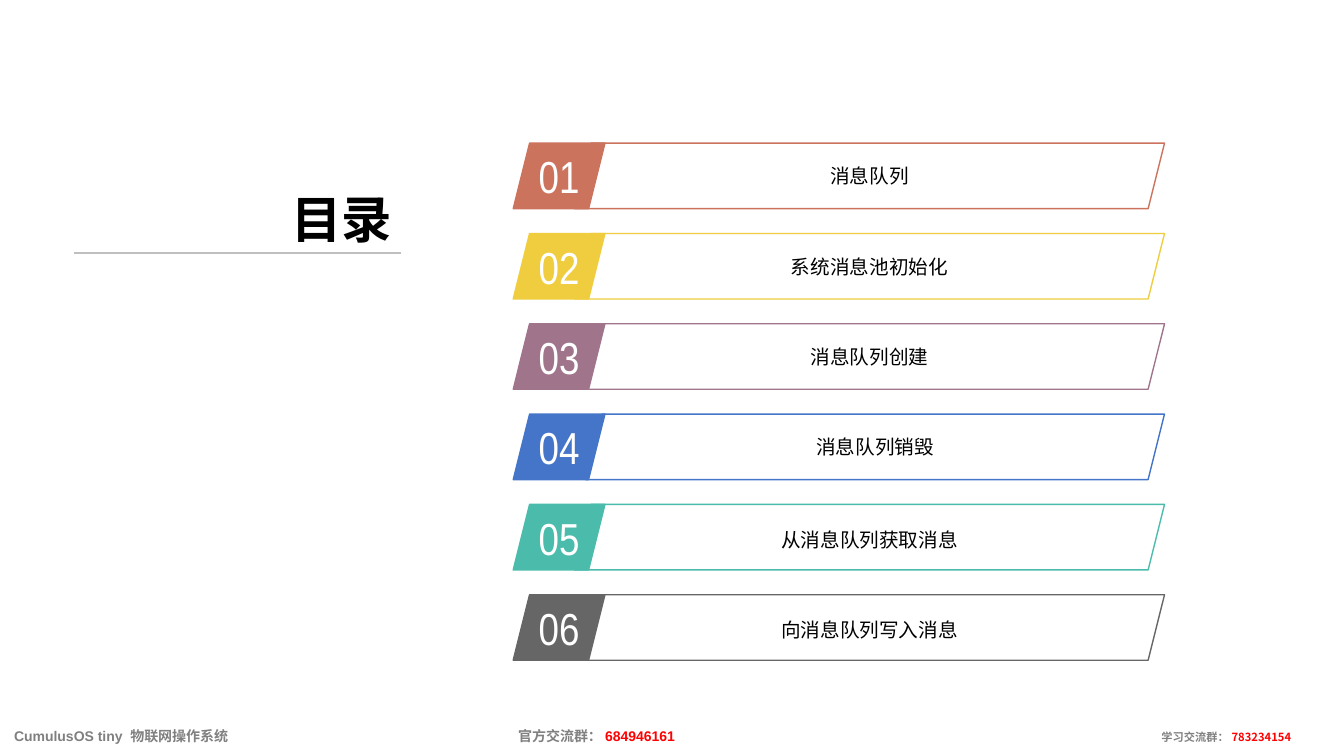
from dataclasses import dataclass

from lxml import etree
from pptx import Presentation
from pptx.dml.color import RGBColor
from pptx.enum.shapes import MSO_CONNECTOR, MSO_SHAPE
from pptx.enum.text import MSO_ANCHOR, PP_ALIGN
from pptx.oxml.ns import qn
from pptx.util import Inches, Pt

PARALLELOGRAM = MSO_SHAPE.PARALLELOGRAM
STRAIGHT = MSO_CONNECTOR.STRAIGHT
MIDDLE, BOTTOM = MSO_ANCHOR.MIDDLE, MSO_ANCHOR.BOTTOM
LEFT, CENTER, RIGHT = PP_ALIGN.LEFT, PP_ALIGN.CENTER, PP_ALIGN.RIGHT


@dataclass(frozen=True)
class Theme:
    font: str = "Arial"
    number_font: str = "Arial Narrow"
    group_font: str = "Noto Sans CJK KR"
    text: str = "000000"
    white: str = "FFFFFF"
    muted: str = "808080"
    alert: str = "FF0000"
    rule: str = "BFBFBF"
    title_size: int = 36
    number_size: int = 32
    item_size: int = 14
    footer_size: int = 10
    small_size: int = 8


THEME = Theme()

TITLE = "目录"
# topic, colour, left edge of the frame, line spacing
TOPICS = [
    ("消息队列", "CC735E", 5.7, 1),
    ("系统消息池初始化", "EFCD3F", 5.7, 1),
    ("消息队列创建", "A0758C", 5.7, 1),
    ("消息队列销毁", "4575C9", 5.81, 1),
    ("从消息队列获取消息", "4BBCAC", 5.7, 1.2),
    ("向消息队列写入消息", "666666", 5.7, 1.2),
]
# text, size, colour, font
FOOTER = [
    ("CumulusOS tiny  物联网操作系统\t官方交流群： ", THEME.footer_size, THEME.muted, THEME.font),
    ("684946161\t", THEME.footer_size, THEME.alert, THEME.font),
    ("学习交流群： ", THEME.small_size, THEME.muted, THEME.font),
    ("783234154", THEME.small_size, THEME.alert, THEME.group_font),
]

SLIDE_W, SLIDE_H = 13.33, 7.5
FIRST_TOP, LAST_TOP, ROW_H = 1.42, 5.9, 0.65
NUMBER_LEFT, NUMBER_W, FRAME_RIGHT = 5.09, 0.91, 11.55
RULE_LEFT, RULE_RIGHT, RULE_Y = 0.73, 3.98, 2.51
FOOTER_H, FOOTER_INSET = 0.4, 0.14
FOOTER_TABS = (5.0, 11.38)


def color(code):
    return RGBColor.from_string(code)


def add_run(paragraph, text, size, code, font, bold=False):
    run = paragraph.add_run()
    run.text = text
    run.font.size = Pt(size)
    run.font.color.rgb = color(code)
    run.font.name = font
    run.font.bold = bold


def set_frame(shape, align, anchor, wrap):
    """Prepare the text frame and return its first paragraph."""
    frame = shape.text_frame
    frame.word_wrap = wrap
    frame.vertical_anchor = anchor
    paragraph = frame.paragraphs[0]
    paragraph.alignment = align
    return paragraph


def add_slanted(slide, left, top, width, code, filled):
    shape = slide.shapes.add_shape(
        PARALLELOGRAM, Inches(left), Inches(top), Inches(width), Inches(ROW_H))
    shape.shadow.inherit = False
    if filled:
        shape.fill.solid()
        shape.fill.fore_color.rgb = color(code)
    else:
        shape.fill.background()
    shape.line.color.rgb = color(code)
    shape.line.width = Pt(1)
    return shape


def add_topics(slide):
    pitch = (LAST_TOP - FIRST_TOP) / (len(TOPICS) - 1)
    for index, (topic, code, frame_left, spacing) in enumerate(TOPICS):
        top = FIRST_TOP + index * pitch
        number = add_slanted(slide, NUMBER_LEFT, top, NUMBER_W, code, True)
        add_run(set_frame(number, CENTER, MIDDLE, False), f"{index + 1:02d}",
                THEME.number_size, THEME.white, THEME.number_font)
        frame = add_slanted(slide, frame_left, top, FRAME_RIGHT - frame_left, code, False)
        paragraph = set_frame(frame, CENTER, MIDDLE, True)
        paragraph.line_spacing = float(spacing)
        add_run(paragraph, topic, THEME.item_size, THEME.text, THEME.font)


def add_title(slide):
    rule = slide.shapes.add_connector(
        STRAIGHT, Inches(RULE_LEFT), Inches(RULE_Y), Inches(RULE_RIGHT), Inches(RULE_Y))
    rule.line.color.rgb = color(THEME.rule)
    rule.line.width = Pt(1.5)
    etree.SubElement(rule.element.spPr, qn("a:effectLst"))
    title = slide.shapes.add_textbox(Inches(1.6), Inches(1.42), Inches(2.39), Inches(1.1))
    add_run(set_frame(title, RIGHT, BOTTOM, False), TITLE,
            THEME.title_size, THEME.text, THEME.font, True)


def add_footer(slide):
    footer = slide.shapes.add_textbox(
        0, Inches(SLIDE_H - FOOTER_H), Inches(SLIDE_W), Inches(FOOTER_H))
    paragraph = set_frame(footer, LEFT, MIDDLE, True)
    footer.text_frame.margin_left = Inches(FOOTER_INSET)
    for text, size, code, font in FOOTER:
        add_run(paragraph, text, size, code, font, True)
    tabs = etree.SubElement(paragraph._p.get_or_add_pPr(), qn("a:tabLst"))
    for position in FOOTER_TABS:
        etree.SubElement(tabs, qn("a:tab"), pos=str(Inches(position)), algn="l")


def main():
    deck = Presentation()
    deck.slide_width, deck.slide_height = Inches(SLIDE_W), Inches(SLIDE_H)
    slide = deck.slides.add_slide(deck.slide_layouts[6])
    add_topics(slide)
    add_title(slide)
    add_footer(slide)
    deck.save("out.pptx")


if __name__ == "__main__":
    main()
